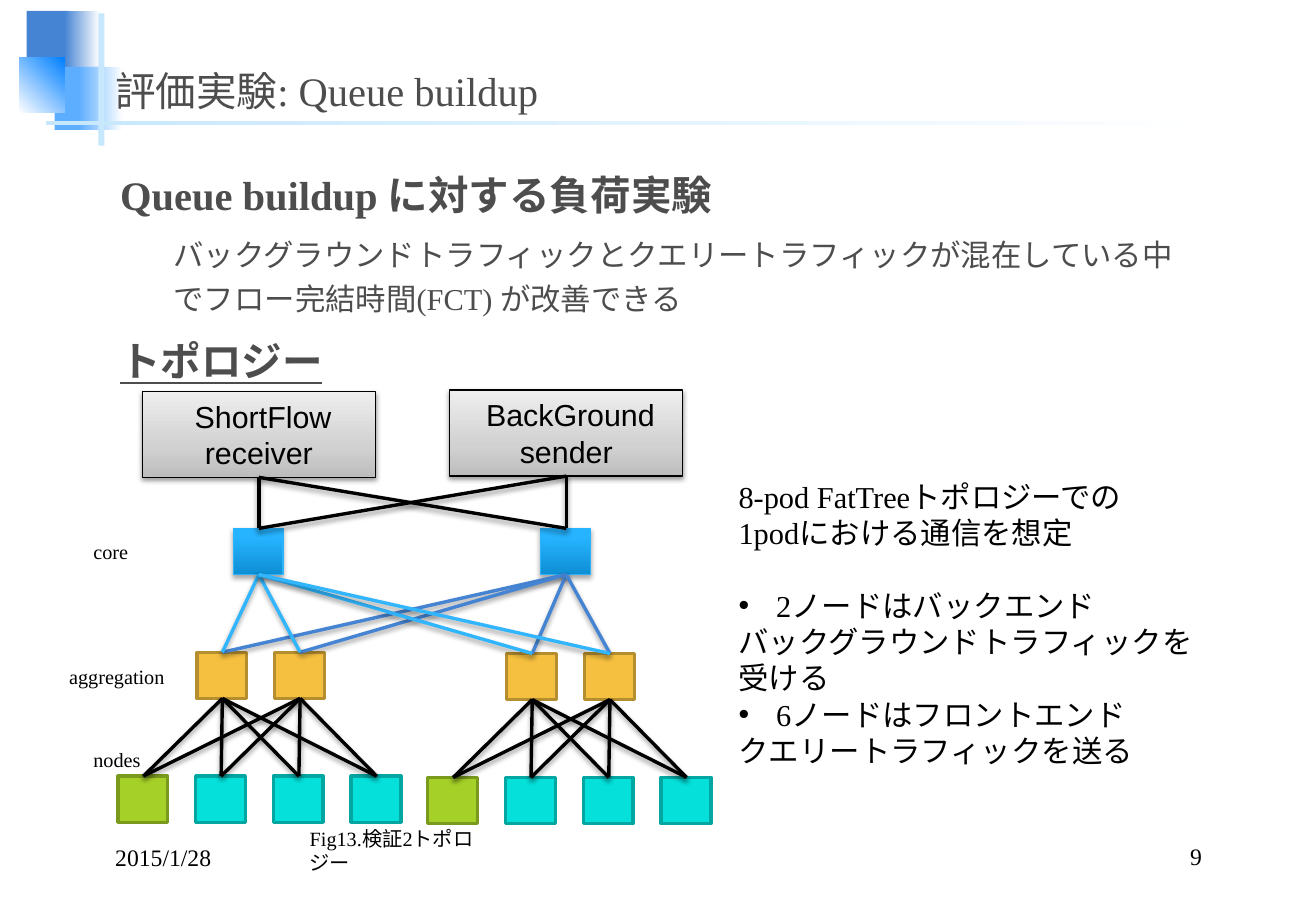
from dataclasses import dataclass
from itertools import product

import lxml.etree
import pptx
import pptx.dml.color
import pptx.enum.shapes
import pptx.enum.text
import pptx.oxml.ns
import pptx.util

PX = 9144
qn = pptx.oxml.ns.qn
Align = pptx.enum.text.PP_ALIGN
Anchor = pptx.enum.text.MSO_ANCHOR


@dataclass(frozen=True)
class Theme:
    serif: str = "Times New Roman"
    sans: str = "Arial"
    japanese: str = "Noto Sans CJK JP"
    black: str = "000000"
    gray: str = "4D4D4D"
    white: str = "FFFFFF"
    blue: str = "4584D3"
    sky: str = "5EAEFF"
    vivid: str = "0080FF"
    pale: str = "C6E7FC"
    cyan: str = "31B6FD"
    core_edge: str = "2BB4FC"
    lime: str = "A5D028"
    lime_edge: str = "7A9A1E"
    teal: str = "05E0DB"
    teal_edge: str = "04A6A2"
    amber: str = "F5C040"
    amber_edge: str = "B58E2F"
    core_stops: tuple = ((0, "0E8FD4"), (80, "26B3FF"), (100, "27B4FF"))
    server_stops: tuple = ((0, "BDBDBD"), (35, "D1D1D1"), (100, "EEEEEE"))
    heading: int = 24
    text: int = 18
    footer: int = 14
    label: int = 12


THEME = Theme()


@dataclass(frozen=True)
class Gradient:
    stops: tuple
    angle: int = 0


@dataclass(frozen=True)
class Box:
    left: int
    top: int
    width: int
    height: int
    fill: str | Gradient
    edge: str | None = None
    edge_width: float = 2
    shadow: int = 0

    @property
    def middle(self) -> int:
        return self.left + (self.width + 1) // 2

    @property
    def bottom(self) -> int:
        return self.top + self.height


@dataclass(frozen=True)
class Line:
    text: str
    size: int = THEME.text
    color: str = THEME.black
    font: str = THEME.serif
    bold: bool = False
    underline: bool = False
    align: Align = Align.LEFT
    indent: int = 0
    bullet: bool = False
    before: float = 0
    height: float | None = None


@dataclass(frozen=True)
class TextArea:
    left: int
    top: int
    width: int
    height: int
    lines: tuple[Line, ...]
    anchor: Anchor = Anchor.TOP


def rgb(color: str) -> pptx.dml.color.RGBColor:
    return pptx.dml.color.RGBColor.from_string(color)


def add_shadow(properties, opacity: int) -> None:
    effects = properties.find(qn("a:effectLst"))
    if effects is None:
        effects = lxml.etree.SubElement(properties, qn("a:effectLst"))
    if opacity:
        shadow = lxml.etree.SubElement(effects, qn("a:outerShdw"), blurRad="39370",
                                       dist="21590", dir="5400000", rotWithShape="0")
        color = lxml.etree.SubElement(shadow, qn("a:srgbClr"), val=THEME.black)
        lxml.etree.SubElement(color, qn("a:alpha"), val=str(opacity * 1000))


def paint(shape, fill: str | Gradient) -> None:
    if isinstance(fill, str):
        shape.fill.solid()
        shape.fill.fore_color.rgb = rgb(fill)
        return
    shape.fill.gradient()
    shape.fill.gradient_angle = (360 - fill.angle) % 360
    stops = shape._element.spPr.find(qn("a:gradFill")).find(qn("a:gsLst"))
    for stop in list(stops):
        stops.remove(stop)
    for position, color in fill.stops:
        stop = lxml.etree.SubElement(stops, qn("a:gs"), pos=str(position * 1000))
        lxml.etree.SubElement(stop, qn("a:srgbClr"), val=color)


def write(text_frame, lines: tuple[Line, ...]) -> None:
    text_frame.word_wrap = True
    text_frame.text = "\n".join(line.text for line in lines)
    for paragraph, line in zip(text_frame.paragraphs, lines):
        paragraph.alignment = line.align
        properties = paragraph._p.get_or_add_pPr()
        properties.set("marL", str(line.indent * PX))
        if line.bullet:
            properties.set("indent", str(-line.indent * PX))
            lxml.etree.SubElement(properties, qn("a:buFont"), typeface=THEME.sans)
            lxml.etree.SubElement(properties, qn("a:buChar"), char="•")
        if line.before:
            paragraph.space_before = pptx.util.Pt(line.before)
        if line.height:
            paragraph.line_spacing = pptx.util.Pt(line.height)
        for run in paragraph.runs:
            run.font.size = pptx.util.Pt(line.size)
            run.font.bold = line.bold
            run.font.underline = line.underline
            run.font.color.rgb = rgb(line.color)
            run.font.name = line.font
            lxml.etree.SubElement(run._r.get_or_add_rPr(), qn("a:ea"),
                                  typeface=THEME.japanese)


def draw_box(slide, box: Box, lines: tuple[Line, ...] = ()) -> None:
    shape = slide.shapes.add_shape(
        pptx.enum.shapes.MSO_SHAPE.RECTANGLE,
        box.left * PX, box.top * PX, box.width * PX, box.height * PX)
    paint(shape, box.fill)
    if box.edge:
        shape.line.color.rgb = rgb(box.edge)
        shape.line.width = pptx.util.Pt(box.edge_width)
    else:
        shape.line.fill.background()
    shape.shadow.inherit = False
    add_shadow(shape._element.spPr, box.shadow)
    if lines:
        write(shape.text_frame, lines)


def draw_text(slide, area: TextArea) -> None:
    shape = slide.shapes.add_textbox(
        area.left * PX, area.top * PX, area.width * PX, area.height * PX)
    shape.text_frame.vertical_anchor = area.anchor
    write(shape.text_frame, area.lines)


def link(slide, lower: Box, upper: Box, color: str) -> None:
    connector = slide.shapes.add_connector(
        pptx.enum.shapes.MSO_CONNECTOR.STRAIGHT,
        lower.middle * PX, lower.top * PX, upper.middle * PX, upper.bottom * PX)
    connector.line.color.rgb = rgb(color)
    connector.line.width = pptx.util.Pt(2)
    add_shadow(connector._element.spPr, 38)


def fade(start: str, end: str = THEME.white, angle: int = 0) -> Gradient:
    return Gradient(((0, start), (100, end)), angle)


def draw_pod(slide, left: int, top: int) -> list[Box]:
    pitch = 64
    nodes = [Box(left + pitch * i, top, 41, 38, THEME.teal if i else THEME.lime,
                 THEME.teal_edge if i else THEME.lime_edge) for i in range(4)]
    aggregations = [Box(left + 65 + pitch * i, top - 102, 41, 38, THEME.amber,
                        THEME.amber_edge) for i in range(2)]
    for box in nodes + aggregations:
        draw_box(slide, box)
    for node, aggregation in product(nodes, aggregations):
        link(slide, node, aggregation, THEME.black)
    return aggregations


DECORATION = (
    Box(22, 9, 35, 52, THEME.blue), Box(53, 9, 29, 52, fade(THEME.blue)),
    Box(45, 55, 41, 52, THEME.sky), Box(65, 55, 36, 52, fade(THEME.sky)),
    Box(16, 47, 37, 46, fade(THEME.white, THEME.vivid, 315)),
    Box(81, 11, 5, 109, THEME.pale), Box(38, 100, 975, 3, fade(THEME.pale)),
)
CORES = [Box(left, 435, 41, 38, Gradient(THEME.core_stops, 270), THEME.core_edge, 0.75, 35)
         for left in (192, 445)]
SERVERS = [Box(left, top, 192, 71, Gradient(THEME.server_stops, 270), THEME.black, 0.75, 38)
           for left, top in ((117, 322), (370, 321))]
SERVER_NAMES = ((" ShortFlow receiver",), (" BackGround", "sender"))
TEXTS = (
    TextArea(85, 36, 929, 63, (
        Line("評価実験: Queue buildup", THEME.heading, THEME.gray),), Anchor.BOTTOM),
    TextArea(89, 127, 906, 532, (
        Line("Queue buildup に対する負荷実験", THEME.heading, THEME.gray, bold=True, height=34.6),
        Line("バックグラウンドトラフィックとクエリートラフィックが混在している中でフロー完結時間(FCT) が改善できる",
             color=THEME.gray, indent=44, before=6, height=26),
        Line("トポロジー", THEME.heading, THEME.gray, bold=True, underline=True,
             before=6, height=34.6))),
    TextArea(85, 690, 226, 32, (Line("2015/1/28", THEME.footer),), Anchor.BOTTOM),
    TextArea(773, 690, 226, 31, (Line("9", THEME.footer, align=Align.RIGHT),), Anchor.BOTTOM),
    TextArea(245, 675, 179, 30, (Line("Fig13.検証2トポロジー", THEME.label, height=14.5),)),
    TextArea(598, 389, 397, 222, (
        Line("8-pod FatTreeトポロジーでの", height=21.5),
        Line("1podにおける通信を想定", height=21.5),
        Line("2ノードはバックエンド", indent=31, bullet=True, before=21.5, height=21.5),
        Line("バックグラウンドトラフィックを受ける", height=21.5),
        Line("6ノードはフロントエンド", indent=31, bullet=True, height=21.5),
        Line("クエリートラフィックを送る", height=21.5))),
    TextArea(47, 542, 105, 30, (Line("aggregation", THEME.label),)),
    TextArea(67, 610, 65, 30, (Line("nodes", THEME.label),)),
    TextArea(67, 439, 55, 30, (Line("core", THEME.label),)),
)


def main() -> None:
    presentation = pptx.Presentation()
    presentation.slide_width = 1083 * PX
    presentation.slide_height = 750 * PX
    slide = presentation.slides.add_slide(presentation.slide_layouts[6])
    for box in DECORATION + tuple(CORES):
        draw_box(slide, box)
    aggregations = draw_pod(slide, 97, 639) + draw_pod(slide, 352, 640)
    for core, color in zip(reversed(CORES), (THEME.blue, THEME.cyan)):
        for aggregation in aggregations:
            link(slide, aggregation, core, color)
    for server, names in zip(SERVERS, SERVER_NAMES):
        draw_box(slide, server, tuple(
            Line(name, font=THEME.sans, align=Align.CENTER) for name in names))
    for core, server in product(CORES, SERVERS):
        link(slide, core, server, THEME.black)
    for area in TEXTS:
        draw_text(slide, area)
    presentation.save("out.pptx")


if __name__ == "__main__":
    main()
